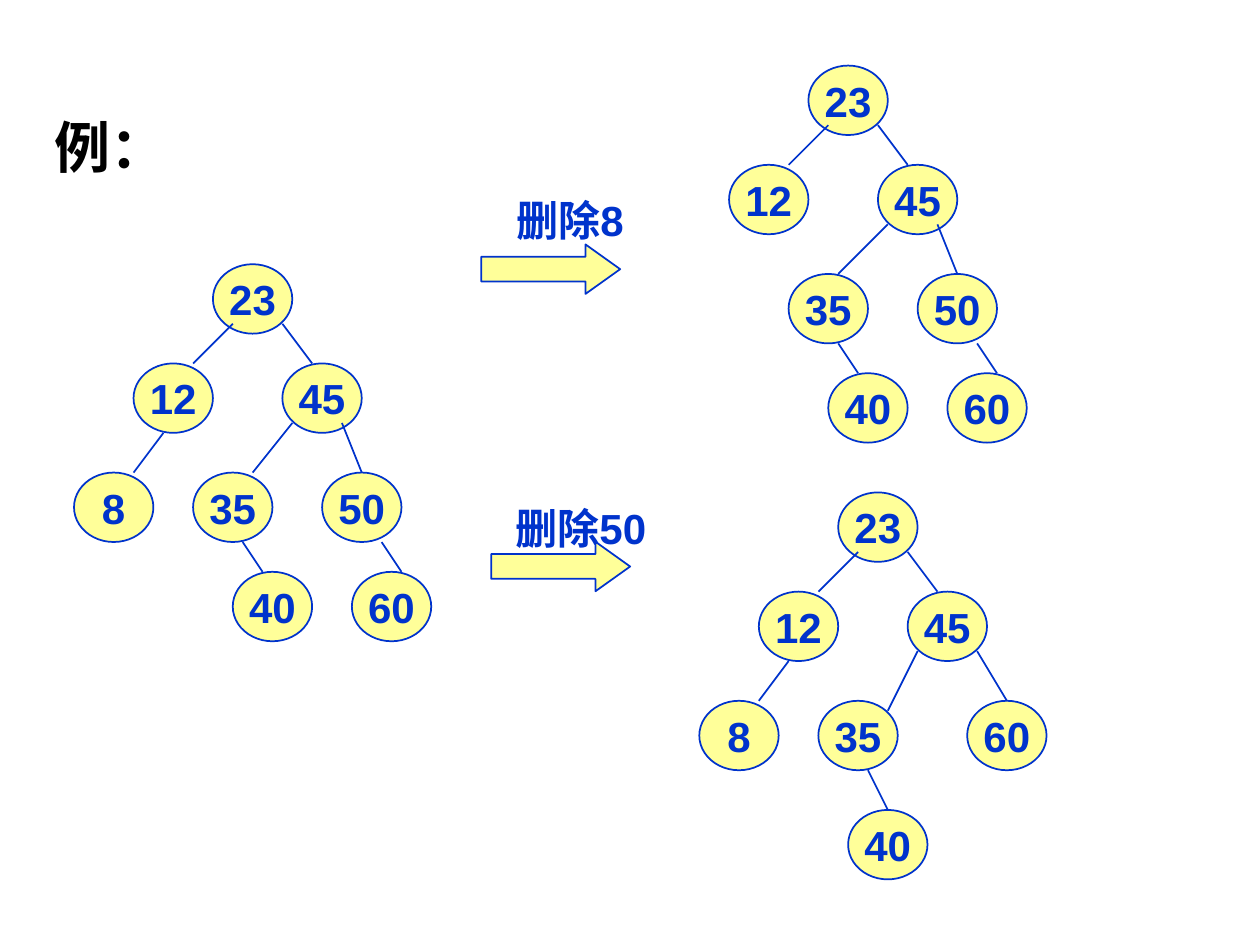
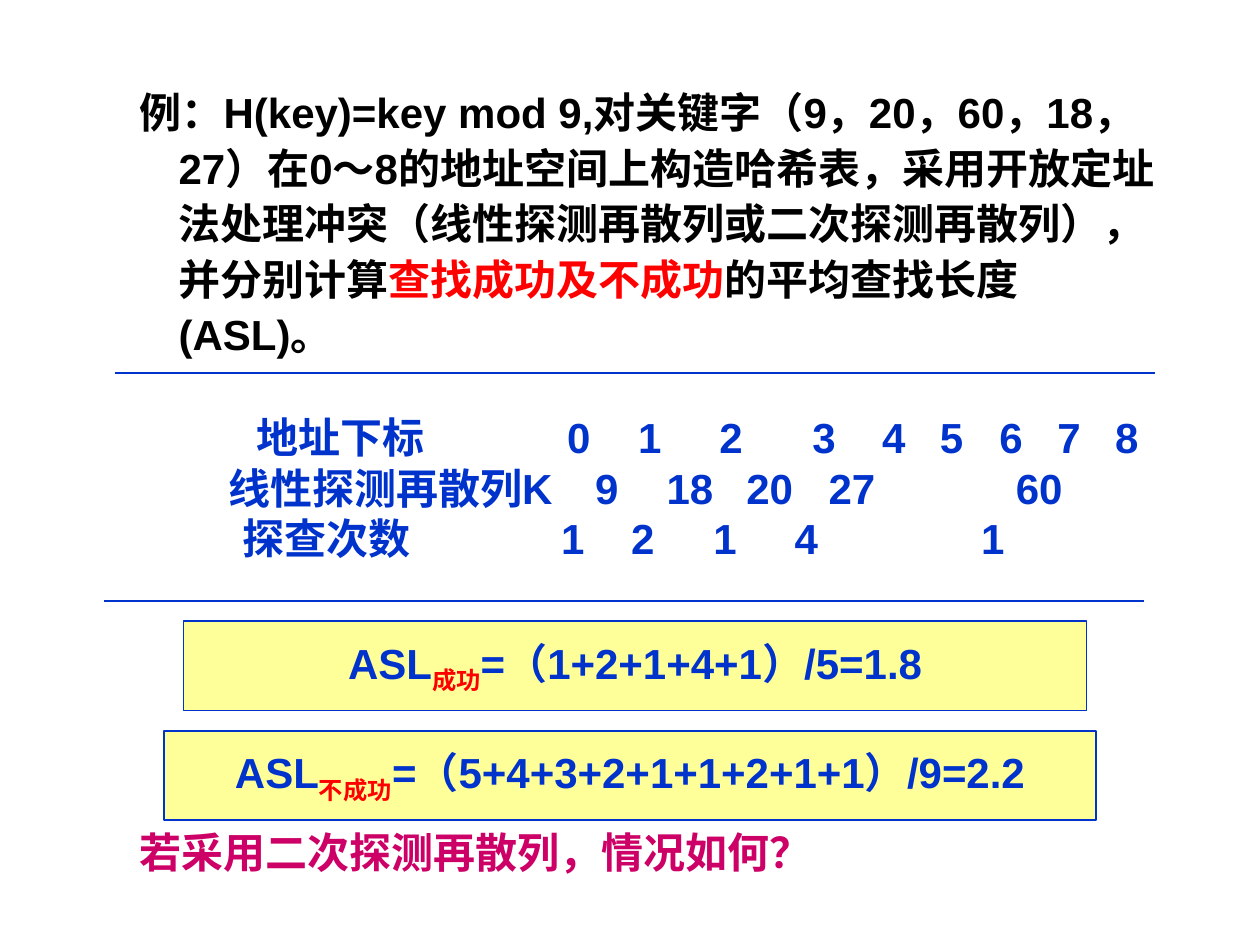
from dataclasses import dataclass

from lxml import etree
from pptx import Presentation
from pptx import util as u
from pptx.dml import color
from pptx.enum import lang, shapes, text
from pptx.oxml import ns

BLUE, YELLOW, WHITE = "0033CC", "FFFF99", "FFFFFF"
BLACK, RED, MAGENTA = "000000", "FF0000", "CC0066"
UNIT = 5.67
NODE_W, NODE_H = 8 * UNIT, 7 * UNIT
FONT = {"name": "Arial", "bold": True, "size": u.Pt(24),
        "language_id": lang.MSO_LANGUAGE_ID.SIMPLIFIED_CHINESE}
CENTRED = {"alignment": text.PP_ALIGN.CENTER}
LOOSE = {"line_spacing": 1.1}
LABEL_FRAME = {"word_wrap": False, "vertical_anchor": text.MSO_ANCHOR.MIDDLE}
BODY_FRAME = {"word_wrap": True, "vertical_anchor": text.MSO_ANCHOR.TOP}
TABLE_FRAME = {"word_wrap": True, "vertical_anchor": text.MSO_ANCHOR.MIDDLE}


@dataclass(frozen=True)
class Box:
    """A rectangle in points."""
    x: float
    y: float
    w: float
    h: float

    def lengths(self) -> list:
        return [u.Pt(v) for v in (self.x, self.y, self.w, self.h)]


@dataclass(frozen=True)
class Run:
    """A stretch of text in one colour."""
    text: str
    color: str = BLUE
    size: float = 24
    baseline: int = 0


@dataclass(frozen=True)
class Node:
    """A tree node and the edge from its parent, in units from the root."""
    key: int
    x: int
    y: int
    edge: tuple = ()


@dataclass(frozen=True)
class Tree:
    """A tree with its root's top left corner in points."""
    x: float
    y: float
    nodes: tuple


@dataclass(frozen=True)
class Step:
    """A deletion with its label and arrow."""
    label: str
    label_box: Box
    arrow_box: Box


@dataclass(frozen=True)
class Row:
    """A line of the hash table with its label and column stops."""
    label: str
    start: float
    cells: tuple
    centres: tuple


TOP = (Node(23, 0, 0), Node(12, -8, 10, (2, 6, -2, 10)),
       Node(45, 7, 10, (7, 6, 10, 10)))
LEAF_8 = Node(8, -14, 21, (-5, 17, -8, 21))
RIGHT = (Node(50, 11, 21, (13, 16, 15, 21)), Node(60, 14, 31, (17, 28, 19, 31)),
         Node(40, 2, 31, (3, 28, 5, 31)))
TREES = (
    Tree(121.7, 151, (*TOP, LEAF_8, Node(35, -2, 21, (8, 16, 4, 21)), *RIGHT)),
    Tree(462, 37.5, (*TOP, Node(35, -2, 21, (8, 16, 3, 21)), *RIGHT)),
    Tree(479, 281.4, (*TOP, LEAF_8, Node(35, -2, 21, (8, 16, 5, 22)),
                      Node(60, 13, 21, (14, 16, 17, 21)),
                      Node(40, 1, 32, (3, 28, 5, 32)))),
)
STEPS = (
    Step("删除8", Box(269.3, 111.6, 113, 28), Box(275, 139.7, 79.4, 28.3)),
    Step("删除50", Box(280.8, 287.3, 102.2, 28), Box(280.7, 309.6, 79.4, 28.3)),
)
ROWS = (
    Row("地址下标", 49, tuple(range(9)),
        (233, 273.5, 320, 373, 413, 446, 480, 513, 546)),
    Row("线性探测再散列K", 32.5, (9, 18, 20, 27, 60), (249, 296.5, 342, 389, 496)),
    Row("探查次数", 40.5, (1, 2, 1, 4, 1), (229.5, 269.5, 316.5, 363, 469.5)),
)
RULES = ((65.5, 213.1), (59.5, 343.4))
RULE_W = 594.5
RESULTS = (
    (Box(104.9, 355, 516, 51), "成功", "=（1+2+1+4+1）/5=1.8"),
    (Box(93.6, 417.6, 532.8, 51), "不成功", "=（5+4+3+2+1+1+2+1+1）/9=2.2"),
)


def rgb(value: str) -> color.RGBColor:
    """Turn a hex string into a colour."""
    return color.RGBColor.from_string(value)


def apply(target, values: dict) -> None:
    """Set each attribute of the target."""
    for name, value in values.items():
        setattr(target, name, value)


def write(p, runs: tuple, values: dict) -> None:
    """Fill a paragraph with formatted runs."""
    apply(p, values)
    for run in runs:
        r = p.add_run()
        r.text = run.text
        apply(r.font, FONT | {"size": u.Pt(run.size)})
        r.font.color.rgb = rgb(run.color)
        if run.baseline:
            r.font._element.set("baseline", str(run.baseline))


def add_shape(parent, kind, box: Box, fill: str, line: str = BLUE):
    """Draw a filled preset shape."""
    sp = parent.add_shape(kind, *box.lengths())
    sp.shadow.inherit = False
    sp.fill.solid()
    sp.fill.fore_color.rgb = rgb(fill)
    if line:
        sp.line.color.rgb = rgb(line)
        sp.line.width = u.Pt(1)
    else:
        sp.line.fill.background()
    return sp


def add_line(parent, x1: float, y1: float, x2: float, y2: float) -> None:
    """Draw a thin blue line."""
    sp = parent.add_connector(shapes.MSO_CONNECTOR.STRAIGHT,
                              *(u.Pt(v) for v in (x1, y1, x2, y2)))
    sp.line.color.rgb = rgb(BLUE)
    sp.line.width = u.Pt(1)
    etree.SubElement(sp._element.spPr, ns.qn("a:effectLst"))


def add_text(parent, box: Box, runs: tuple, frame: dict, values: dict):
    """Place a text box with one paragraph."""
    tf = parent.add_textbox(*box.lengths()).text_frame
    apply(tf, frame)
    write(tf.paragraphs[0], runs, values)
    return tf.paragraphs[0]


def add_label(sp, runs: tuple) -> None:
    """Centre a line of text in a shape."""
    apply(sp.text_frame, LABEL_FRAME)
    write(sp.text_frame.paragraphs[0], runs, CENTRED)


def hang(p, left: float, indent: float) -> None:
    """Give a paragraph a hanging indent."""
    pPr = p._p.get_or_add_pPr()
    pPr.set("marL", str(u.Pt(left)))
    pPr.set("indent", str(u.Pt(indent)))


def add_tree(slide, tree: Tree) -> None:
    """Draw the nodes and edges of a tree as one group."""
    group = slide.shapes.add_group_shape().shapes
    for node in tree.nodes:
        box = Box(tree.x + node.x * UNIT, tree.y + node.y * UNIT, NODE_W, NODE_H)
        sp = add_shape(group, shapes.MSO_SHAPE.OVAL, box, YELLOW)
        add_label(sp, (Run(str(node.key)),))
    for node in tree.nodes:
        if node.edge:
            x1, y1, x2, y2 = (v * UNIT for v in node.edge)
            add_line(group, tree.x + x1, tree.y + y1, tree.x + x2, tree.y + y2)


def add_row(p, row: Row) -> None:
    """Write a table line on its own tab stops."""
    apply(p, {"alignment": text.PP_ALIGN.LEFT})
    tabs = etree.SubElement(p._p.get_or_add_pPr(), ns.qn("a:tabLst"))
    stops = [(row.start, "l"), *((centre, "ctr") for centre in row.centres)]
    for position, align in stops:
        etree.SubElement(tabs, ns.qn("a:tab"), pos=str(u.Pt(position)), algn=align)
    line = "\t".join(["", row.label, *map(str, row.cells)])
    write(p, (Run(line),), {})


def build_deletion(slide) -> None:
    """Show a search tree before and after two deletions."""
    p = add_text(slide.shapes, Box(23.8, 60.5, 240, 48),
                 (Run("例：", BLACK, 32),), BODY_FRAME, {})
    hang(p, 27, -27)
    for step in STEPS:
        sp = add_shape(slide.shapes, shapes.MSO_SHAPE.RIGHT_ARROW,
                       step.arrow_box, YELLOW)
        sp.adjustments[1] = 0.7
        add_text(slide.shapes, step.label_box, (Run(step.label),),
                 LABEL_FRAME, CENTRED)
    for tree in TREES:
        add_tree(slide, tree)


def build_hashing(slide) -> None:
    """Show a hash table and its average search lengths."""
    problem = (
        Run("例：H(key)=key mod 9,对关键字（9，20，60，18，27）在0～8的地址空间上构造"
            "哈希表，采用开放定址法处理冲突（线性探测再散列或二次探测再散列），"
            "并分别计算", BLACK),
        Run("查找成功及不成功", RED),
        Run("的平均查找长度(ASL)。", BLACK),
    )
    question = (Run("若采用二次探测再散列，情况如何？", MAGENTA),)
    for y, h, runs in ((43.2, 168, problem), (466, 40, question)):
        p = add_text(slide.shapes, Box(36.7, y, 636.5, h), runs, BODY_FRAME, LOOSE)
        hang(p, 58.3, -22.3)
    for x, y in RULES:
        add_line(slide.shapes, x, y, x + RULE_W, y)
    sp = add_shape(slide.shapes, shapes.MSO_SHAPE.RECTANGLE,
                   Box(90.7, 224.6, 575.3, 108), WHITE, "")
    tf = sp.text_frame
    apply(tf, TABLE_FRAME)
    for i, row in enumerate(ROWS):
        add_row(tf.add_paragraph() if i else tf.paragraphs[0], row)
    for box, case, formula in RESULTS:
        sp = add_shape(slide.shapes, shapes.MSO_SHAPE.RECTANGLE, box, YELLOW)
        add_label(sp, (Run("ASL"), Run(case, RED, baseline=-25000), Run(formula)))


def main() -> None:
    """Build and save both slides."""
    prs = Presentation()
    apply(prs, {"slide_width": u.Pt(720), "slide_height": u.Pt(540)})
    for build in (build_deletion, build_hashing):
        build(prs.slides.add_slide(prs.slide_layouts[6]))
    prs.save("out.pptx")


if __name__ == "__main__":
    main()
